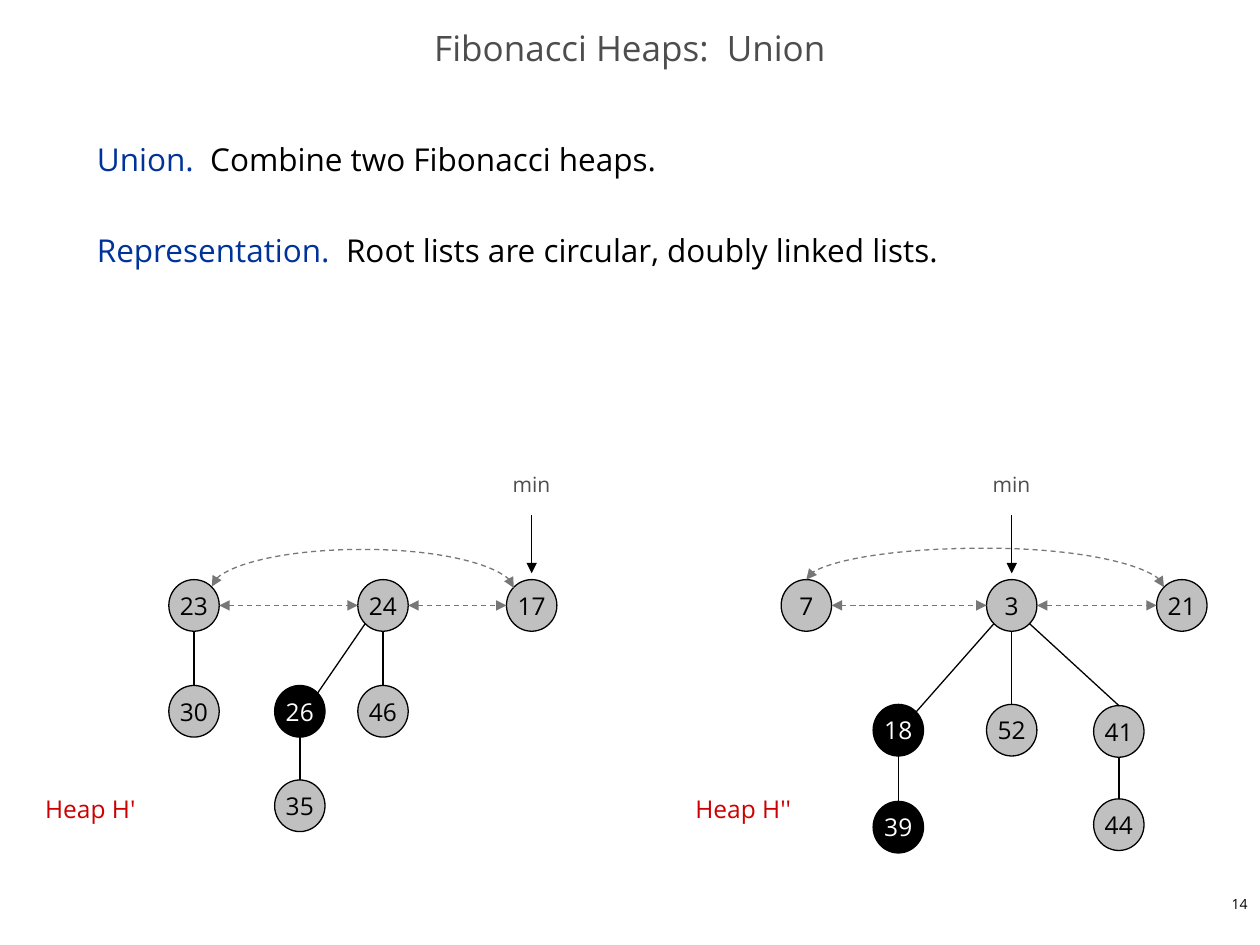
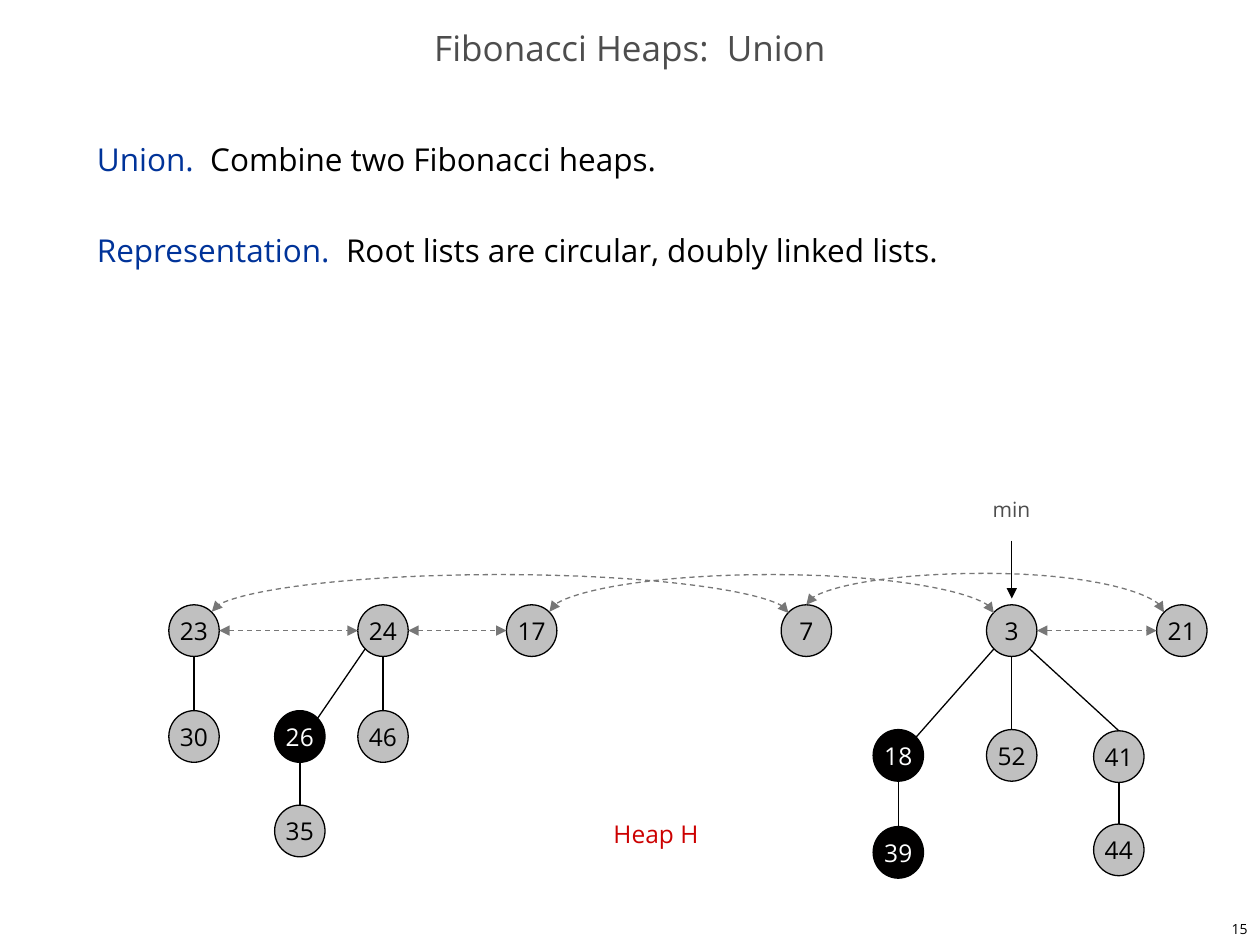
from pptx import Presentation
from pptx.dml.color import RGBColor
from pptx.enum.dml import MSO_LINE
from pptx.enum.shapes import MSO_CONNECTOR as CONNECTOR, MSO_SHAPE
from pptx.enum.text import MSO_ANCHOR as ANCHOR, PP_ALIGN as ALIGN
from pptx.oxml.ns import qn
from pptx.util import Inches, Pt
from lxml.etree import SubElement

COLORS = {"black": "000000", "white": "FFFFFF", "node": "C0C0C0", "marked": "010000",
          "link": "777777", "gray": "4D4D4D", "term": "003399", "heap": "CC0000"}
FONT = "Open Sans"

NODE_W, NODE_H = 0.4, 0.41
ROOT_TOP = 4.6
ARCH_HEIGHT = 0.25
LOWERED = 0.2  # how far the merged heap sits below the two separate ones

# Connection sites of an ellipse, and where each lies within its box
TOP, LEFT, BOTTOM_LEFT, BOTTOM, BOTTOM_RIGHT, RIGHT, TOP_RIGHT = 0, 2, 3, 4, 5, 6, 7
TOP_LEFT = 1
NEAR, FAR = 0.146, 0.854
SITES = {TOP: (0.5, 0), TOP_LEFT: (NEAR, NEAR), LEFT: (0, 0.5), BOTTOM_LEFT: (NEAR, FAR),
         BOTTOM: (0.5, 1), BOTTOM_RIGHT: (FAR, FAR), RIGHT: (1, 0.5), TOP_RIGHT: (FAR, NEAR)}

# key: (left, top)
NODES = {23: (1.34, ROOT_TOP), 24: (2.84, ROOT_TOP), 17: (4.02, ROOT_TOP),
         7: (6.2, ROOT_TOP), 3: (7.83, ROOT_TOP), 21: (9.18, ROOT_TOP),
         30: (1.34, 5.44), 26: (2.18, 5.44), 46: (2.84, 5.44), 35: (2.18, 6.19),
         18: (6.93, 5.59), 52: (7.83, 5.59), 41: (8.68, 5.6),
         39: (6.93, 6.36), 44: (8.68, 6.34)}
MARKED = {18, 26, 39}
# child, its site, parent, its site
BRANCHES = [(child, TOP, parent, BOTTOM) for child, parent in
            ((30, 23), (46, 24), (35, 26), (52, 3), (39, 18), (44, 41))]
BRANCHES += [(26, TOP_RIGHT, 24, BOTTOM_LEFT), (18, TOP_RIGHT, 3, BOTTOM_LEFT),
             (41, TOP, 3, BOTTOM_RIGHT)]


def rgb(name):
    return RGBColor.from_string(COLORS[name])


def write(paragraph, text, size=14, color="black", align=ALIGN.LEFT):
    paragraph.alignment = align
    run = paragraph.add_run()
    run.text = text
    run.font.name, run.font.size = FONT, Pt(size)
    run.font.color.rgb = rgb(color)


class HeapSlide:
    def __init__(self, deck, lowered=0):
        self.slide = deck.slides.add_slide(deck.slide_layouts[6])
        self.shapes = self.slide.shapes
        self.lowered = lowered
        self.nodes = {}

    def text_box(self, left, top, width, height, wrap=False, anchor=ANCHOR.TOP):
        box = self.shapes.add_textbox(*map(Inches, (left, top, width, height)))
        box.text_frame.word_wrap = wrap
        box.text_frame.vertical_anchor = anchor
        return box.text_frame.paragraphs[0]

    def heading(self, text):
        title = self.text_box(0, 0.17, 10, 0.5, wrap=True, anchor=ANCHOR.MIDDLE)
        title.line_spacing = 0.7
        write(title, text, size=20, color="gray", align=ALIGN.CENTER)

    def definitions(self, entries):
        line = self.text_box(0.67, 1, 8.58, 5.92, wrap=True)
        frame = line._parent
        for index, (term, meaning) in enumerate(entries):
            if index:
                line = frame.add_paragraph()
                line.space_before = Pt(26)
            line.line_spacing = Pt(26)
            write(line, term, size=18, color="term")
            write(line, meaning, size=18)

    def page_number(self, number):
        footer = self.text_box(7.92, 7.05 + self.lowered, 2.08, 0.25, anchor=ANCHOR.MIDDLE)
        write(footer, str(number), size=8, align=ALIGN.RIGHT)

    def heap_name(self, text, left, width):
        name = self.text_box(left, 6.25 + self.lowered, width, 0.33)
        write(name, text, color="heap")

    def node(self, key):
        left, top = NODES[key]
        marked = key in MARKED
        oval = self.shapes.add_shape(MSO_SHAPE.OVAL, Inches(left), Inches(top + self.lowered),
                                     Inches(NODE_W), Inches(NODE_H))
        oval.shadow.inherit = False
        oval.fill.solid()
        oval.fill.fore_color.rgb = rgb("marked" if marked else "node")
        oval.line.color.rgb = rgb("black")
        oval.line.width = Pt(0.75)
        oval.text_frame.word_wrap = False
        oval.text_frame.vertical_anchor = ANCHOR.MIDDLE
        write(oval.text_frame.paragraphs[0], str(key),
              color="white" if marked else "black", align=ALIGN.CENTER)
        self.nodes[key] = oval

    def site(self, key, site):
        left, top = NODES[key]
        across, down = SITES[site]
        return left + across * NODE_W, top + self.lowered + down * NODE_H

    def line(self, start, end, kind=CONNECTOR.STRAIGHT, color="black", dashed=False, arrows=()):
        line = self.shapes.add_connector(kind, *map(Inches, (*start, *end)))
        line.line.color.rgb = rgb(color)
        line.line.width = Pt(0.75)
        if dashed:
            line.line.dash_style = MSO_LINE.DASH
        for arrow in arrows:
            SubElement(line.line._get_or_add_ln(), qn(f"a:{arrow}"), type="triangle")
        SubElement(line._element.spPr, qn("a:effectLst"))
        return line

    def join(self, start, start_site, end, end_site, **style):
        """Glue a straight line to two nodes; ovals have eight sites, not four."""
        line = self.line(self.site(start, start_site), self.site(end, end_site), **style)
        ends = line._element.nvCxnSpPr.cNvCxnSpPr
        for glue, key, site in ((ends.get_or_add_stCxn(), start, start_site),
                                (ends.get_or_add_endCxn(), end, end_site)):
            glue.id, glue.idx = self.nodes[key].shape_id, site

    def arch(self, right, right_site, left, left_site):
        """Curve over the roots: a connector turned 90 degrees and mirrored."""
        right_x, right_y = self.site(right, right_site)
        left_x, left_y = self.site(left, left_site)
        span, step = right_x - left_x, max(right_y - left_y, 0.01)
        mid_x, mid_y = (right_x + left_x) / 2, (right_y + left_y) / 2
        corner = mid_x - step / 2, mid_y - span / 2
        curve = self.line(corner, (corner[0] + step, corner[1] + span), kind=CONNECTOR.CURVE,
                          color="link", dashed=True, arrows=("headEnd", "tailEnd"))
        properties = curve._element.spPr
        turn = properties.find(qn("a:xfrm"))
        turn.set("rot", str(90 * 60000))
        turn.set("flipH", "1")
        rise = right_y - (ROOT_TOP + self.lowered - ARCH_HEIGHT)
        guides = properties.find(qn("a:prstGeom")).find(qn("a:avLst"))
        SubElement(guides, qn("a:gd"), name="adj1", fmla=f"val {round(rise / step * 100000)}")

    def minimum(self, key):
        x, top = self.site(key, TOP)
        write(self.text_box(x - 0.25, top - 0.91, 0.51, 0.3), "min", size=12, color="gray")
        self.line((x, top - 0.51), (x, top - 0.05), arrows=("tailEnd",))

    def forest(self, neighbors, arches):
        for key in NODES:
            self.node(key)
        for branch in BRANCHES:
            self.join(*branch)
        for left, right in neighbors:
            self.join(left, RIGHT, right, LEFT, color="link", dashed=True,
                      arrows=("headEnd", "tailEnd"))
        for ends in arches:
            self.arch(*ends)


def main():
    deck = Presentation()
    deck.slide_width, deck.slide_height = Inches(10), Inches(7.5)
    within = [(23, 24), (24, 17), (3, 21)]
    arch_7_21 = (21, TOP_LEFT, 7, TOP)

    separate = HeapSlide(deck)
    merged = HeapSlide(deck, LOWERED)
    for number, slide in enumerate((separate, merged), 14):
        slide.page_number(number)
        slide.heading("Fibonacci Heaps:  Union")
        slide.definitions([
            ("Union.  ", "Combine two Fibonacci heaps."),
            ("Representation.  ", "Root lists are circular, doubly linked lists.")])

    separate.forest(within + [(7, 3)], [(17, TOP_LEFT, 23, TOP_RIGHT), arch_7_21])
    separate.minimum(17)
    separate.heap_name("Heap H'", 0.26, 0.93)
    separate.heap_name("Heap H''", 5.42, 0.97)

    merged.forest(within, [(7, TOP_LEFT, 23, TOP_RIGHT), arch_7_21,
                           (3, TOP_LEFT, 17, TOP_RIGHT)])
    merged.heap_name("Heap H", 4.77, 0.89)

    for slide in (separate, merged):
        slide.minimum(3)
    deck.save("out.pptx")


if __name__ == "__main__":
    main()
